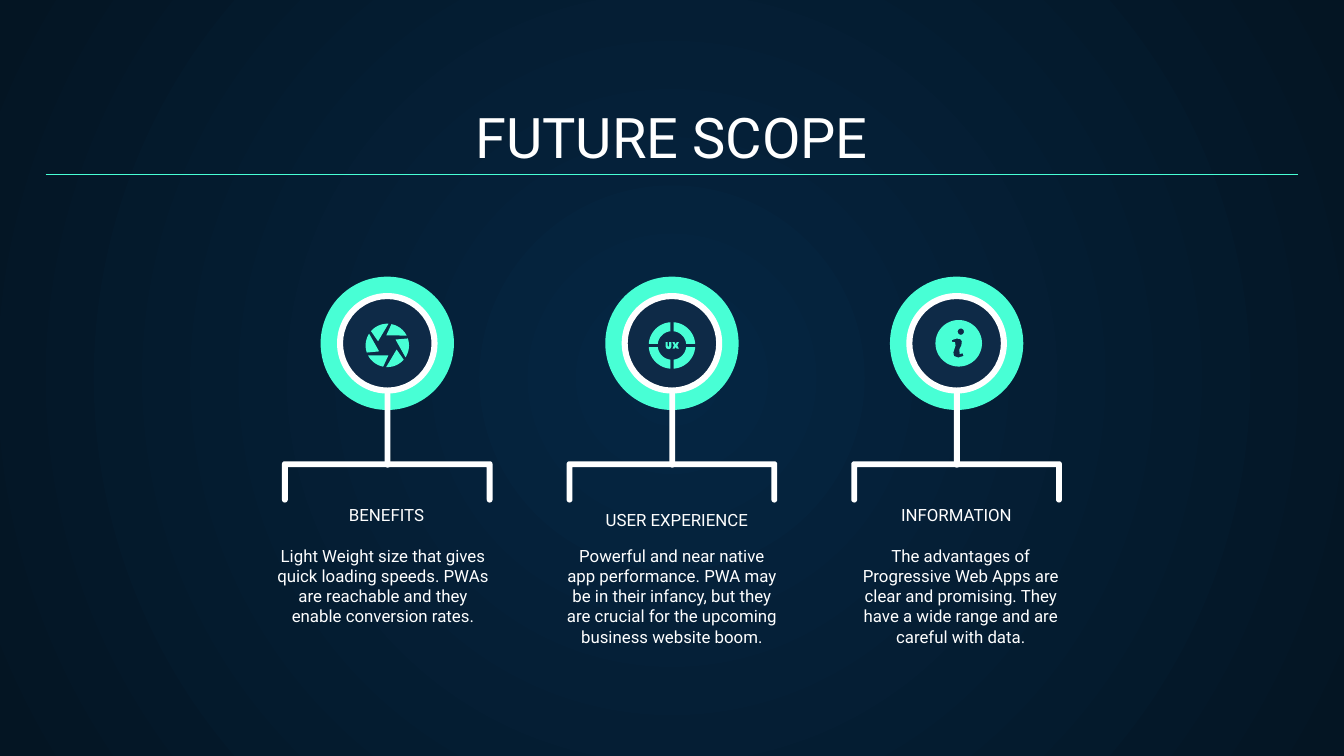
from math import asin, cos, degrees, radians, sin

from lxml import etree
from pptx import Presentation
from pptx.dml.color import RGBColor
from pptx.enum.shapes import MSO_CONNECTOR, MSO_SHAPE
from pptx.enum.text import MSO_ANCHOR, MSO_AUTO_SIZE, PP_ALIGN
from pptx.oxml.ns import qn
from pptx.util import Cm, Pt

OVAL, DONUT, ROUNDED = MSO_SHAPE.OVAL, MSO_SHAPE.DONUT, MSO_SHAPE.ROUNDED_RECTANGLE
STRAIGHT = MSO_CONNECTOR.STRAIGHT
TOP, BOTTOM = MSO_ANCHOR.TOP, MSO_ANCHOR.BOTTOM
CENTER, NO_FIT = PP_ALIGN.CENTER, MSO_AUTO_SIZE.NONE
FONT = "Roboto"
WHITE, MINT, NAVY = "FFFFFF", "48FFD5", "0E2A47"
BG_CENTER, BG_EDGE = "052643", "041523"

FIRST_CENTER, COLUMN_STEP, MEDAL_Y = 7.32, 5.38, 6.49
FIRST_BODY, BODY_STEP = 4.95, 5.46
COLUMNS = [
    ("BENEFITS", (4.42, 9.68, 5.77, 0.48),
     "Light Weight size that gives quick loading speeds. PWAs are reachable "
     "and they enable conversion rates."),
    ("USER EXPERIENCE", (10.21, 9.53, 5.16, 0.74),
     "Powerful and near native app performance. PWA may be in their infancy, "
     "but they are crucial for the upcoming business website boom."),
    ("INFORMATION", (15.19, 9.53, 5.77, 0.64),
     "The advantages of Progressive Web Apps are clear and promising. They "
     "have a wide range and are careful with data."),
]
LETTER_U = [(-0.12, -0.06), (-0.08, -0.06), (-0.08, 0.01), (-0.06, 0.03),
            (-0.05, 0.01), (-0.05, -0.06), (-0.01, -0.06), (-0.01, 0.02),
            (-0.03, 0.06), (-0.06, 0.07), (-0.1, 0.06), (-0.12, 0.02)]
LETTER_X = [(0.01, -0.06), (0.05, -0.06), (0.07, -0.02), (0.09, -0.06),
            (0.13, -0.06), (0.1, 0), (0.13, 0.06), (0.09, 0.06),
            (0.07, 0.03), (0.05, 0.06), (0.01, 0.06), (0.04, 0)]
LETTER_I = [(-0.13, -0.06), (-0.04, -0.09), (0.03, -0.08), (0.06, -0.04),
            (0.05, 0.04), (0.01, 0.12), (0.02, 0.2), (0.08, 0.19),
            (0.09, 0.24), (-0.01, 0.27), (-0.09, 0.24), (-0.1, 0.17),
            (-0.06, 0.04), (-0.07, -0.02), (-0.13, -0.03)]


def color(hex_code):
    """Turn a hex string into a colour."""
    return RGBColor.from_string(hex_code)


def apply(target, values):
    """Set every attribute in a dict of format values."""
    for attribute, value in values.items():
        setattr(target, attribute, value)


def paint(shape, fill):
    """Give a shape a flat fill without line or shadow."""
    shape.shadow.inherit = False
    shape.fill.solid()
    shape.fill.fore_color.rgb = color(fill)
    shape.line.fill.background()


def preset(slide, kind, box, fill, adjustment=None):
    """Add a flat preset shape in a box given in centimetres."""
    shape = slide.shapes.add_shape(kind, *map(Cm, box))
    paint(shape, fill)
    if adjustment is not None:
        shape.adjustments[0] = adjustment


def disc(slide, kind, x, y, radius, fill, adjustment=None):
    """Add a round shape around a centre."""
    box = (x - radius, y - radius, 2 * radius, 2 * radius)
    preset(slide, kind, box, fill, adjustment)


def arc(radius, start, end, x=0, y=0, steps=16):
    """Return points along an arc, with angles in degrees."""
    angles = [radians(start + (end - start) * i / steps) for i in range(steps + 1)]
    return [(x + radius * cos(a), y + radius * sin(a)) for a in angles]


def turn(points, angle):
    """Rotate points about the origin."""
    c, s = cos(radians(angle)), sin(radians(angle))
    return [(x * c - y * s, x * s + y * c) for x, y in points]


def outline(slide, x, y, contours, fill):
    """Draw closed contours, relative to a point, as one freeform."""
    placed = [[(Cm(x + dx), Cm(y + dy)) for dx, dy in contour] for contour in contours]
    builder = slide.shapes.build_freeform(*placed[0][0], scale=1.0)
    for index, contour in enumerate(placed):
        if index:
            builder.move_to(*contour[0])
        builder.add_line_segments(contour[1:], close=True)
    paint(builder.convert_to_shape(), fill)


def write(shape, text, box, size, anchor):
    """Place a text shape and fill it with centred white text."""
    apply(shape, dict(zip(("left", "top", "width", "height"), map(Cm, box))))
    frame = shape.text_frame
    frame.text = text
    margins = {f"margin_{side}": Cm(0.25) for side in ("left", "top", "right", "bottom")}
    apply(frame, {"word_wrap": True, "auto_size": NO_FIT,
                  "vertical_anchor": anchor, **margins})
    paragraph = frame.paragraphs[0]
    apply(paragraph, {"alignment": CENTER, "line_spacing": 1.0, "space_before": Pt(0)})
    font = paragraph.runs[0].font
    apply(font, {"name": FONT, "size": Pt(size), "bold": False})
    font.color.rgb = color(WHITE)


def caption(slide, text, box, anchor):
    """Add a small text box."""
    write(slide.shapes.add_textbox(0, 0, 0, 0), text, box, 9, anchor)


def radial_background(slide):
    """Fill the background with a gradient from the centre outwards."""
    fill = slide.background.fill
    fill.gradient()
    for stop, position, shade in zip(fill.gradient_stops, (0, 1), (BG_CENTER, BG_EDGE)):
        stop.position = position
        stop.color.rgb = color(shade)
    gradient = slide.element.find(".//" + qn("a:gradFill"))
    gradient.remove(gradient.find(qn("a:lin")))
    radial = etree.SubElement(gradient, qn("a:path"), {"path": "circle"})
    etree.SubElement(radial, qn("a:fillToRect"), dict.fromkeys("ltrb", "50000"))


def title_rule(slide):
    """Draw the line below the title."""
    rule = slide.shapes.add_connector(STRAIGHT, Cm(0.86), Cm(3.3), Cm(24.54), Cm(3.3))
    rule.line.color.rgb = color(MINT)
    rule.line.width = Pt(0.75)
    etree.SubElement(rule.element.spPr, qn("a:effectLst"))


def bracket(slide, x):
    """Draw the bracket with rounded ends above a caption."""
    half, height, thick = 1.99, 0.78, 0.11
    cap = thick / 2
    leg = cap - half
    left = ([(thick - half, thick)] + arc(cap, 0, 180, leg, height - cap)
            + arc(cap, 180, 270, leg, cap))
    right = [(-dx, dy) for dx, dy in reversed(left)]
    outline(slide, x, 8.72, [left + right], WHITE)


def medal(slide, x):
    """Draw the bracket, stem and ringed disc of one column."""
    bracket(slide, x)
    disc(slide, OVAL, x, MEDAL_Y, 1.26, MINT)
    preset(slide, ROUNDED, (x - 0.05, 6.3, 0.11, 2.54), WHITE, 0.5)
    disc(slide, OVAL, x, MEDAL_Y, 0.89, NAVY)
    disc(slide, DONUT, x, MEDAL_Y, 0.95, WHITE, 0.06)


def aperture_icon(slide, x):
    """Draw six shutter blades."""
    blade = [(-0.02, -0.19)] + arc(0.41, -79, -27)
    for step in range(6):
        outline(slide, x, 6.53, [turn(blade, 60 * step)], MINT)


def ux_icon(slide, x):
    """Draw a ring of four parts around the letters UX."""
    outer, inner, half_gap = 0.44, 0.27, 0.03
    far, near = (degrees(asin(half_gap / radius)) for radius in (outer, inner))
    quarter = arc(outer, far, 90 - far) + arc(inner, 90 - near, near)
    parts = [turn(quarter, 90 * step) for step in range(4)]
    for part in parts + [LETTER_U, LETTER_X]:
        outline(slide, x, 6.53, [part], MINT)


def info_icon(slide, x):
    """Draw a disc with a cut-out letter i."""
    rim = arc(0.44, 0, 360, steps=60)
    dot = arc(0.06, 0, 360, 0.04, -0.22)
    outline(slide, x + 0.04, MEDAL_Y, [rim, dot, LETTER_I], MINT)


def main():
    """Build and save the slide."""
    deck = Presentation()
    apply(deck, {"slide_width": Cm(25.4), "slide_height": Cm(14.29)})
    slide = deck.slides.add_slide(deck.slide_layouts[5])
    radial_background(slide)
    write(slide.shapes.title, "FUTURE SCOPE", (0.86, 1.78, 23.67, 1.68), 30, BOTTOM)
    title_rule(slide)
    icons = (aperture_icon, ux_icon, info_icon)
    for index, ((heading, heading_box, body), icon) in enumerate(zip(COLUMNS, icons)):
        center = FIRST_CENTER + index * COLUMN_STEP
        medal(slide, center)
        icon(slide, center)
        caption(slide, heading, heading_box, BOTTOM)
        caption(slide, body, (FIRST_BODY + index * BODY_STEP, 10.06, 4.57, 1.4), TOP)
    deck.save("out.pptx")


main()
